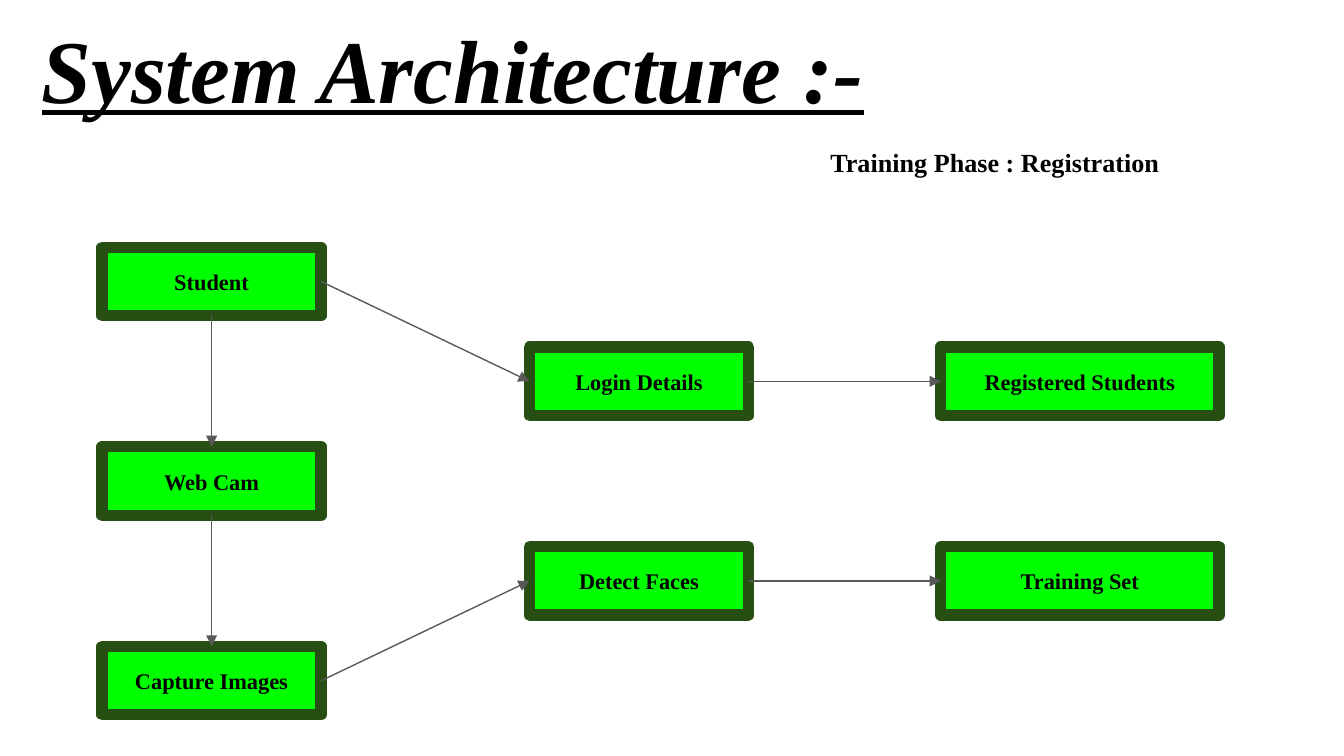
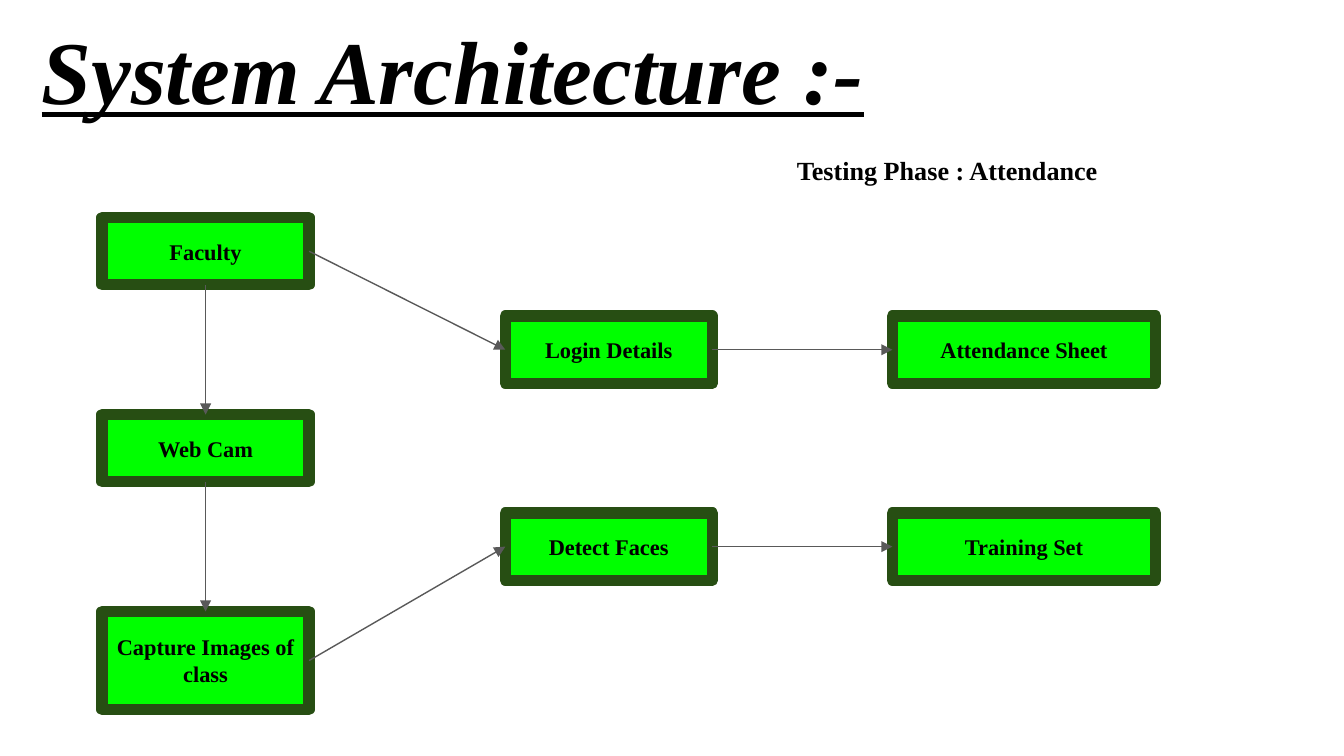
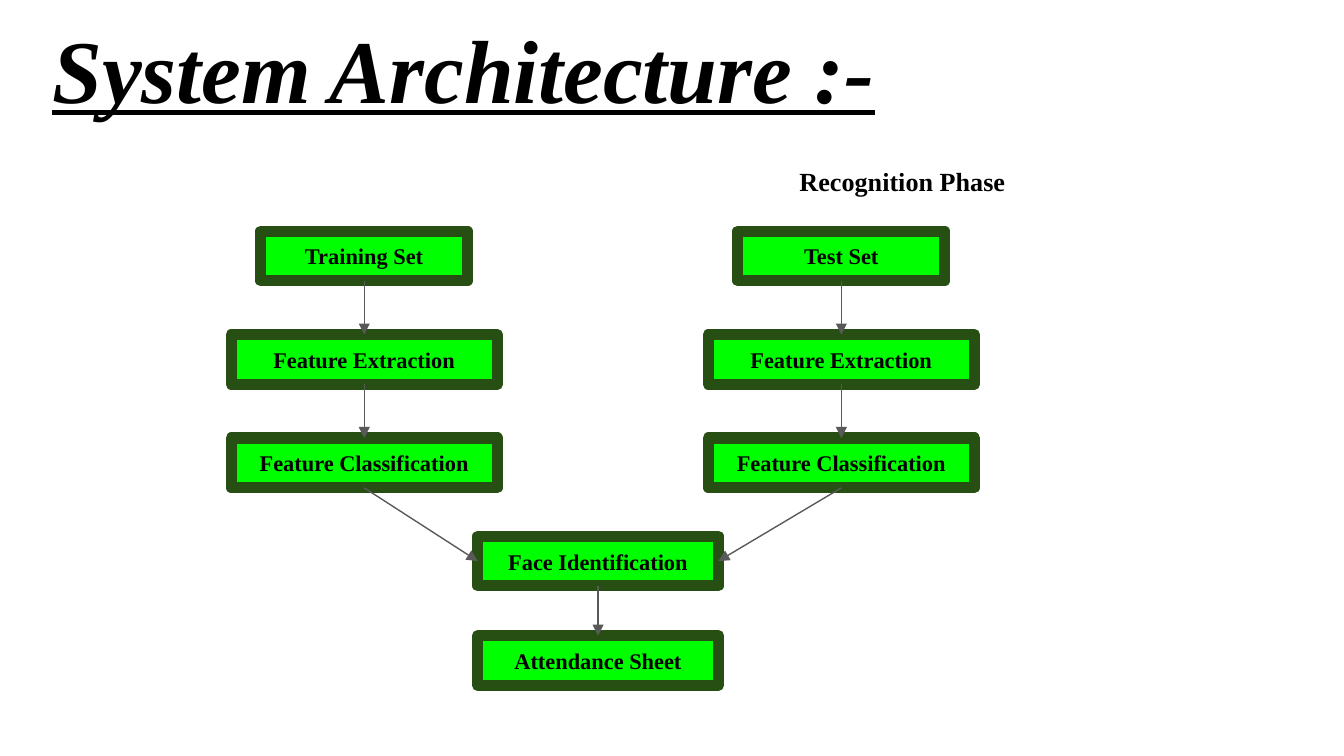
import pptx
import pptx.dml.color
import pptx.enum.shapes
import pptx.enum.text
import pptx.oxml
import pptx.oxml.ns
import pptx.util

Inches = pptx.util.Inches
Pt = pptx.util.Pt
ALIGN = pptx.enum.text.PP_ALIGN
ANCHOR = pptx.enum.text.MSO_ANCHOR

# Shared look
FONT = "Times New Roman"
INK, GREEN, EDGE, GREY = "000000", "00FF00", "274E13", "595959"
TITLE = "System Architecture :-"
TOP, LEFT, BOTTOM, RIGHT = range(4)


def color(code):
    return pptx.dml.color.RGBColor.from_string(code)


def xml(tag, attrs=""):
    return pptx.oxml.parse_xml(f"<a:{tag} {pptx.oxml.ns.nsdecls('a')} {attrs}/>")


def write(shape, text, size=12, align=ALIGN.LEFT, anchor=ANCHOR.TOP,
          italic=False, line=False):
    frame = shape.text_frame
    frame.word_wrap = True
    frame.auto_size = pptx.enum.text.MSO_AUTO_SIZE.NONE
    frame.vertical_anchor = anchor
    frame.margin_left = frame.margin_right = Inches(0.1)
    frame.margin_top = frame.margin_bottom = Inches(0.1)
    par = frame.paragraphs[0]
    par.alignment = align
    run = par.add_run()
    run.text = text
    font = run.font
    font.name, font.size, font.bold = FONT, Pt(size), True
    font.italic, font.underline = italic, line
    font.color.rgb = color(INK)


def start(deck, place, phase, spot):
    """Add a slide with its title and the phase label."""
    slide = deck.slides.add_slide(deck.slide_layouts[5])
    title = slide.shapes.title
    title.left, title.top, title.width, title.height = map(Inches, place)
    write(title, TITLE, size=48, italic=True, line=True)
    label = slide.shapes.add_textbox(*map(Inches, spot))
    write(label, phase, size=14)
    return slide


def box(slide, text, x, y, w, h):
    shape = slide.shapes.add_shape(
        pptx.enum.shapes.MSO_SHAPE.RECTANGLE, *map(Inches, (x, y, w, h)))
    shape.shadow.inherit = False
    shape.fill.solid()
    shape.fill.fore_color.rgb = color(GREEN)
    shape.line.color.rgb = color(EDGE)
    shape.line.width = Pt(6)
    write(shape, text, align=ALIGN.CENTER, anchor=ANCHOR.MIDDLE)
    return shape


def arrow(slide, a, b, out=BOTTOM, into=TOP):
    """Join side out of box a to side into of box b."""
    link = slide.shapes.add_connector(
        pptx.enum.shapes.MSO_CONNECTOR.STRAIGHT, 0, 0, 0, 0)
    link.begin_connect(a, out)
    link.end_connect(b, into)
    link.line.color.rgb = color(GREY)
    link.line.width = Pt(0.75)
    link.line._get_or_add_ln().append(xml("tailEnd", 'type="triangle"'))
    link._element.spPr.append(xml("effectLst"))


def flow(slide, left, mid, right, cols, wide, top, step, high, last):
    """Three stacked steps on the left that feed two rows of two boxes."""
    stack = [box(slide, text, cols[0], top + 2 * i * step, wide[0],
                 last if i == 2 else high)
             for i, text in enumerate(left)]
    rows = []
    for i, pair in enumerate(zip(mid, right)):
        y = top + (2 * i + 1) * step
        rows.append([box(slide, text, x, y, w, high)
                     for text, x, w in zip(pair, cols[1:], wide[1:])])
    for a, b in zip(stack, stack[1:]):
        arrow(slide, a, b)
    for source, (near, far) in zip(stack[::2], rows):
        arrow(slide, source, near, RIGHT, LEFT)
        arrow(slide, near, far, RIGHT, LEFT)


def chain(slide, names, mid, top, step, wide):
    """A column of boxes centred on mid, joined downwards."""
    boxes = [box(slide, text, mid - w / 2, top + i * step, w, 0.37)
             for i, (text, w) in enumerate(zip(names, wide))]
    for a, b in zip(boxes, boxes[1:]):
        arrow(slide, a, b)
    return boxes


def main():
    deck = pptx.Presentation()
    # Widescreen, 16:9
    deck.slide_width = Inches(10)
    deck.slide_height = Inches(10 * 9 / 16)

    # Training
    slide = start(deck, (0.21, 0, 9.32, 0.99),
                  "Training Phase : Registration", (6.08, 0.99, 3.06, 0.44))
    flow(slide, ["Student", "Web Cam", "Capture Images"],
         ["Login Details", "Detect Faces"],
         ["Registered Students", "Training Set"],
         cols=(0.76, 3.94, 7), wide=(1.63, 1.63, 2.07),
         top=1.84, step=2.97 / 4, high=0.51, last=0.51)

    # Testing
    slide = start(deck, (0.21, 0.01, 9.32, 1.04),
                  "Testing Phase : Attendance", (5.83, 1.05, 3.28, 0.44))
    flow(slide, ["Faculty", "Web Cam", "Capture Images of class"],
         ["Login Details", "Detect Faces"],
         ["Attendance Sheet", "Training Set"],
         cols=(0.76, 3.76, 6.64), wide=(1.54, 1.54, 1.96),
         top=1.62, step=2.93 / 4, high=0.5, last=0.73)

    # Recognition
    slide = start(deck, (0.29, 0, 9.32, 0.96),
                  "Recognition Phase", (5.85, 1.13, 3.28, 0.44))
    face = chain(slide, ["Face Identification", "Attendance Sheet"],
                 4.45, 3.99, 0.74, (1.79, 1.79))[0]
    for name, mid, side in (("Training Set", 2.71, LEFT),
                            ("Test Set", 6.26, RIGHT)):
        steps = chain(slide,
                      [name, "Feature Extraction", "Feature Classification"],
                      mid, 1.72, 0.77, (1.54, 1.98, 1.98))
        arrow(slide, steps[-1], face, BOTTOM, side)

    deck.save("out.pptx")


if __name__ == "__main__":
    main()
